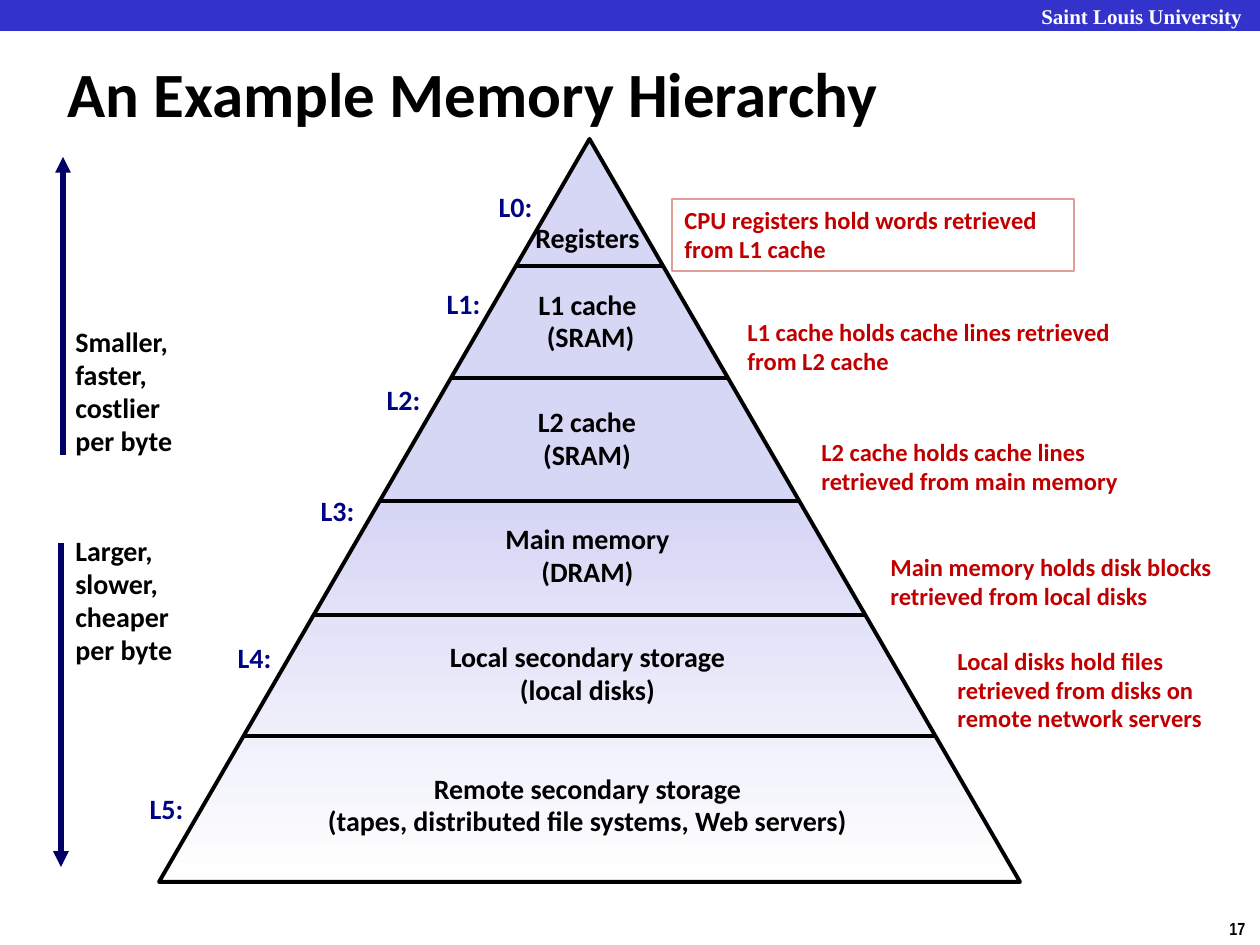
import pptx
import pptx.dml.color
import pptx.enum.shapes
import pptx.enum.text
import pptx.oxml.ns
import pptx.util
from lxml import etree

EMU_PER_PX = 914400 / 126
LEFT = pptx.enum.text.PP_ALIGN.LEFT
CENTER = pptx.enum.text.PP_ALIGN.CENTER
SHAPES = pptx.enum.shapes.MSO_SHAPE

BLACK, WHITE = "000000", "FFFFFF"
BAR_BLUE, LAVENDER = "3333CC", "D6D6F5"
LABEL_BLUE, ARROW_BLUE = "000482", "000066"
NOTE_RED, FRAME_RED = "C00000", "DF9F98"

PYRAMID = (159, 139, 861, 743)
DIVIDERS = [266, 378, 501, 615, 736]

LEVELS = [
    ("Registers", (522, 215, 131, 47)),
    ("L1 cache\n (SRAM)", (525, 282, 125, 79)),
    ("L2 cache\n(SRAM)", (524, 400, 126, 79)),
    ("Main memory\n(DRAM)", (493, 517, 189, 79)),
    ("Local secondary storage\n(local disks)", (436, 635, 303, 79)),
    ("Remote secondary storage\n(tapes, distributed file systems, Web servers)", (312, 766, 551, 79)),
]
LABEL_PLACES = [(486, 184), (434, 281), (374, 377), (308, 488), (225, 635), (137, 786)]

NOTES = [
    ("CPU registers hold words retrieved from L1 cache", (672, 199, 402, 72)),
    ("L1 cache holds cache lines retrieved from L2 cache", (735, 311, 390, 72)),
    ("L2 cache holds cache lines retrieved from main memory", (809, 431, 363, 72)),
    ("Main memory holds disk blocks retrieved from local disks", (878, 546, 378, 72)),
    ("Local disks hold files retrieved from disks on remote network servers", (945, 640, 285, 101)),
]
TRENDS = [
    ("Smaller,\nfaster,\ncostlier\nper byte", (63, 319, 123, 146), (63, 455, 63, 157)),
    ("Larger,\nslower,\ncheaper\nper byte", (63, 528, 126, 146), (61, 543, 61, 867)),
]


def px(length):
    """Turn pixels into EMU."""
    return pptx.util.Emu(round(length * EMU_PER_PX))


def rgb(value):
    """Turn a hex string into a colour."""
    return pptx.dml.color.RGBColor.from_string(value)


def add_text(page, text, place, size, color=BLACK, font="Calibri", align=LEFT, wrap=False, spacing=0.98):
    """Add a bold, vertically centred text box."""
    box = page.shapes.add_textbox(*map(px, place))
    frame = box.text_frame
    frame.text = text
    frame.word_wrap = wrap
    frame.auto_size = pptx.enum.text.MSO_AUTO_SIZE.SHAPE_TO_FIT_TEXT
    frame.vertical_anchor = pptx.enum.text.MSO_ANCHOR.MIDDLE
    for para in frame.paragraphs:
        para.alignment = align
        para.line_spacing = spacing
        for span in para.runs:
            span.font.name = font
            span.font.size = pptx.util.Pt(size)
            span.font.bold = True
            span.font.color.rgb = rgb(color)
    return box


def add_line(page, ends, color, width, arrow=False):
    """Add a straight line, with an arrowhead at its end if asked."""
    line = page.shapes.add_connector(pptx.enum.shapes.MSO_CONNECTOR.STRAIGHT, *map(px, ends))
    line.line.color.rgb = rgb(color)
    line.line.width = pptx.util.Pt(width)
    if arrow:
        etree.SubElement(line.line._get_or_add_ln(), pptx.oxml.ns.qn("a:tailEnd"), type="triangle")
    etree.SubElement(line._element.spPr, pptx.oxml.ns.qn("a:effectLst"))


def add_header(page):
    """Add the top bar, the university name, the title and the page number."""
    bar = page.shapes.add_shape(SHAPES.RECTANGLE, 0, 0, px(1260), px(31))
    bar.shadow.inherit = False
    bar.fill.solid()
    bar.fill.fore_color.rgb = rgb(BAR_BLUE)
    bar.line.fill.background()
    add_text(page, "Saint Louis University", (1029, -3, 239, 38), 12, WHITE, "Times New Roman", wrap=True, spacing=1)
    add_text(page, "17", (1217, 911, 43, 34), 10, font="Arial Narrow", spacing=1)
    add_text(page, "An Example Memory Hierarchy", (55, 38, 1201, 108), 36, wrap=True, spacing=1)


def add_pyramid(page):
    """Add the shaded triangle and the lines that divide it into levels."""
    left, top, width, height = PYRAMID
    pyramid = page.shapes.add_shape(SHAPES.ISOSCELES_TRIANGLE, *map(px, PYRAMID))
    pyramid.shadow.inherit = False
    pyramid.fill.gradient()
    pyramid.fill.gradient_angle = 270
    for stop, position, color in zip(pyramid.fill.gradient_stops, (0.49, 1), (LAVENDER, WHITE)):
        stop.position = position
        stop.color.rgb = rgb(color)
    pyramid.line.color.rgb = rgb(BLACK)
    pyramid.line.width = pptx.util.Pt(2.25)
    middle = left + width / 2
    for y in DIVIDERS:
        reach = width / 2 * (y - top) / height
        add_line(page, (round(middle - reach), y, round(middle + reach), y), BLACK, 2)


def main():
    """Build the slide and save it."""
    deck = pptx.Presentation()
    deck.slide_width, deck.slide_height = px(1260), px(945)
    page = deck.slides.add_slide(deck.slide_layouts[6])
    add_header(page)
    add_pyramid(page)
    for number, ((text, place), (left, top)) in enumerate(zip(LEVELS, LABEL_PLACES)):
        add_text(page, text, place, 16, align=CENTER)
        add_text(page, f"L{number}:", (left, top, 59, 47), 16, LABEL_BLUE, align=CENTER)
    notes = [add_text(page, text, place, 14, NOTE_RED, wrap=True) for text, place in NOTES]
    notes[0].line.color.rgb = rgb(FRAME_RED)
    notes[0].line.width = pptx.util.Pt(0.75)
    for text, place, ends in TRENDS:
        add_text(page, text, place, 16)
        add_line(page, ends, ARROW_BLUE, 3, arrow=True)
    deck.save("out.pptx")


if __name__ == "__main__":
    main()
